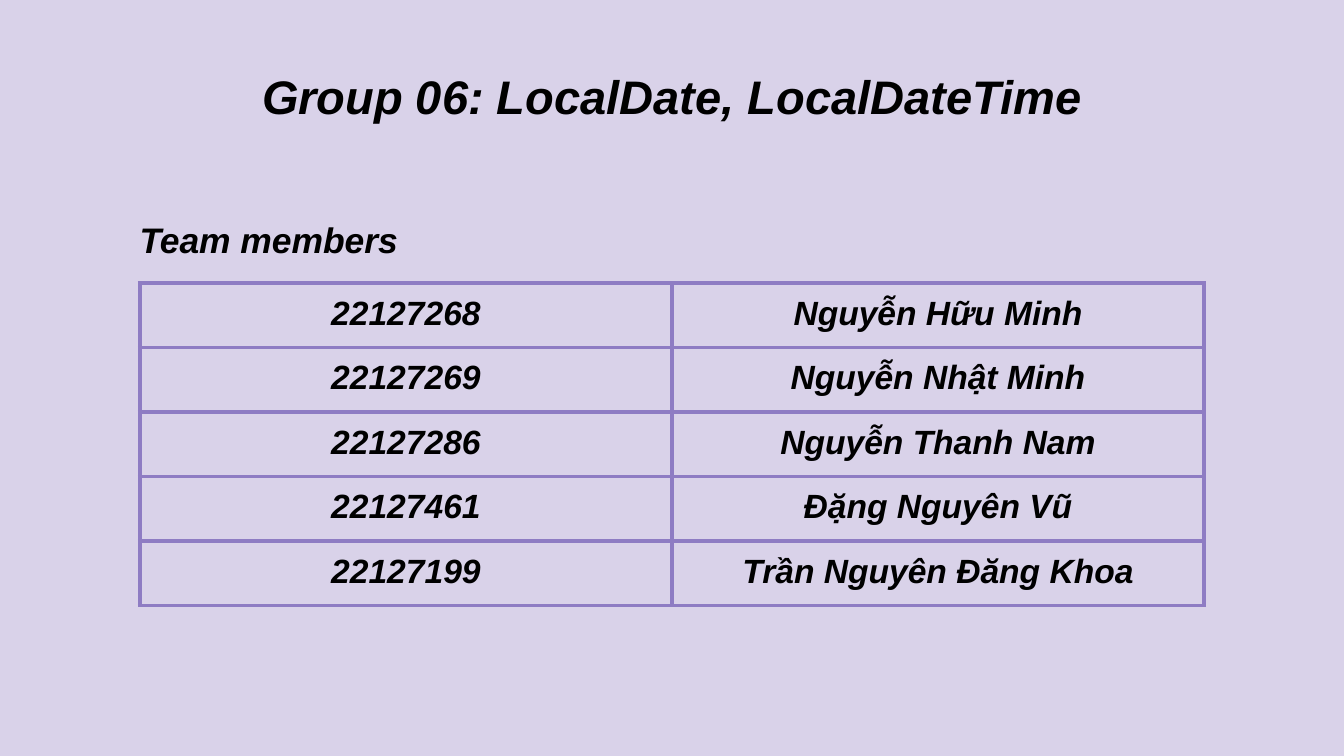
from lxml.etree import SubElement
from pptx import Presentation
from pptx.dml.color import RGBColor
from pptx.enum.text import MSO_ANCHOR as Anchor, PP_ALIGN as Align
from pptx.oxml.ns import qn
from pptx.util import Pt

PX = 4572  # EMU per px, 200 px to the inch
COLORS = {"background": "D9D2E9", "border": "8E7CC3", "text": "000000"}
MEMBERS = [
    ("22127268", "Nguyễn Hữu Minh"),
    ("22127269", "Nguyễn Nhật Minh"),
    ("22127286", "Nguyễn Thanh Nam"),
    ("22127461", "Đặng Nguyên Vũ"),
    ("22127199", "Trần Nguyên Đăng Khoa"),
]


def px(length):
    return length * PX


def set_margins(target, vertical=20):
    target.margin_left = target.margin_right = px(20)
    target.margin_top = target.margin_bottom = px(vertical)


def write(text_frame, text, size, align):
    text_frame.text = text
    paragraph = text_frame.paragraphs[0]
    paragraph.alignment = align
    font = paragraph.runs[0].font
    font.name, font.size = "Arial", Pt(size)
    font.bold = font.italic = True
    font.color.rgb = RGBColor.from_string(COLORS["text"])


def add_borders(cell, width):
    properties = cell._tc.get_or_add_tcPr()
    for position, side in enumerate(("lnL", "lnR", "lnT", "lnB")):
        line = properties.makeelement(qn(f"a:{side}"), {"w": str(Pt(width))})
        fill = SubElement(line, qn("a:solidFill"))
        SubElement(fill, qn("a:srgbClr"), val=COLORS["border"])
        properties.insert(position, line)


def place_title(slide, left, top, width, height):
    title = slide.shapes.title
    title.left, title.top = px(left), px(top)
    title.width, title.height = px(width), px(height)
    text_frame = title.text_frame
    set_margins(text_frame)
    text_frame.word_wrap = True
    text_frame.vertical_anchor = Anchor.MIDDLE
    write(text_frame, "Group 06: LocalDate, LocalDateTime", 25.2, Align.CENTER)


def add_members(slide, left, top, width):
    # Heading
    heading = slide.shapes.add_textbox(px(left - 20), px(top), px(790), px(84))
    set_margins(heading.text_frame)
    heading.text_frame.word_wrap = True
    write(heading.text_frame, "Team members", 19, Align.LEFT)

    # Table of student numbers and names
    row_height = 84
    table = slide.shapes.add_table(
        len(MEMBERS), 2, px(left), px(top + 117), px(width), px(row_height * len(MEMBERS))
    ).table
    table.first_row = table.horz_banding = False
    for row, member in enumerate(MEMBERS):
        for column, text in enumerate(member):
            cell = table.cell(row, column)
            cell.fill.background()
            set_margins(cell, vertical=18)
            add_borders(cell, 2.25)
            write(cell.text_frame, text, 18, Align.CENTER)


def main():
    presentation = Presentation()
    presentation.slide_width, presentation.slide_height = px(2000), px(1125)
    slide = presentation.slides.add_slide(presentation.slide_layouts[5])
    background = slide.background.fill
    background.solid()
    background.fore_color.rgb = RGBColor.from_string(COLORS["background"])
    place_title(slide, 68, 80, 1864, 126)
    add_members(slide, 208, 304, 1584)
    presentation.save("out.pptx")


if __name__ == "__main__":
    main()
